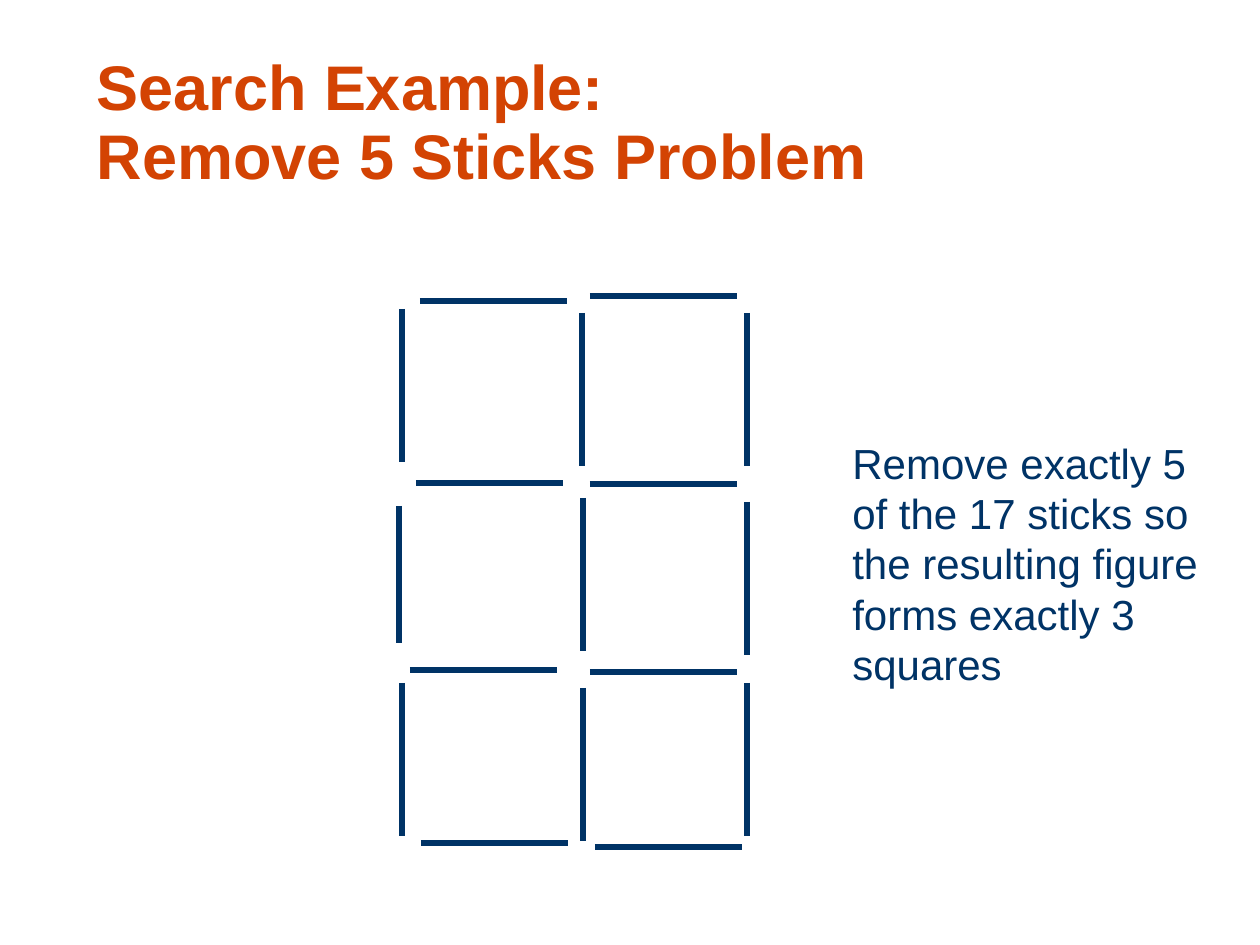
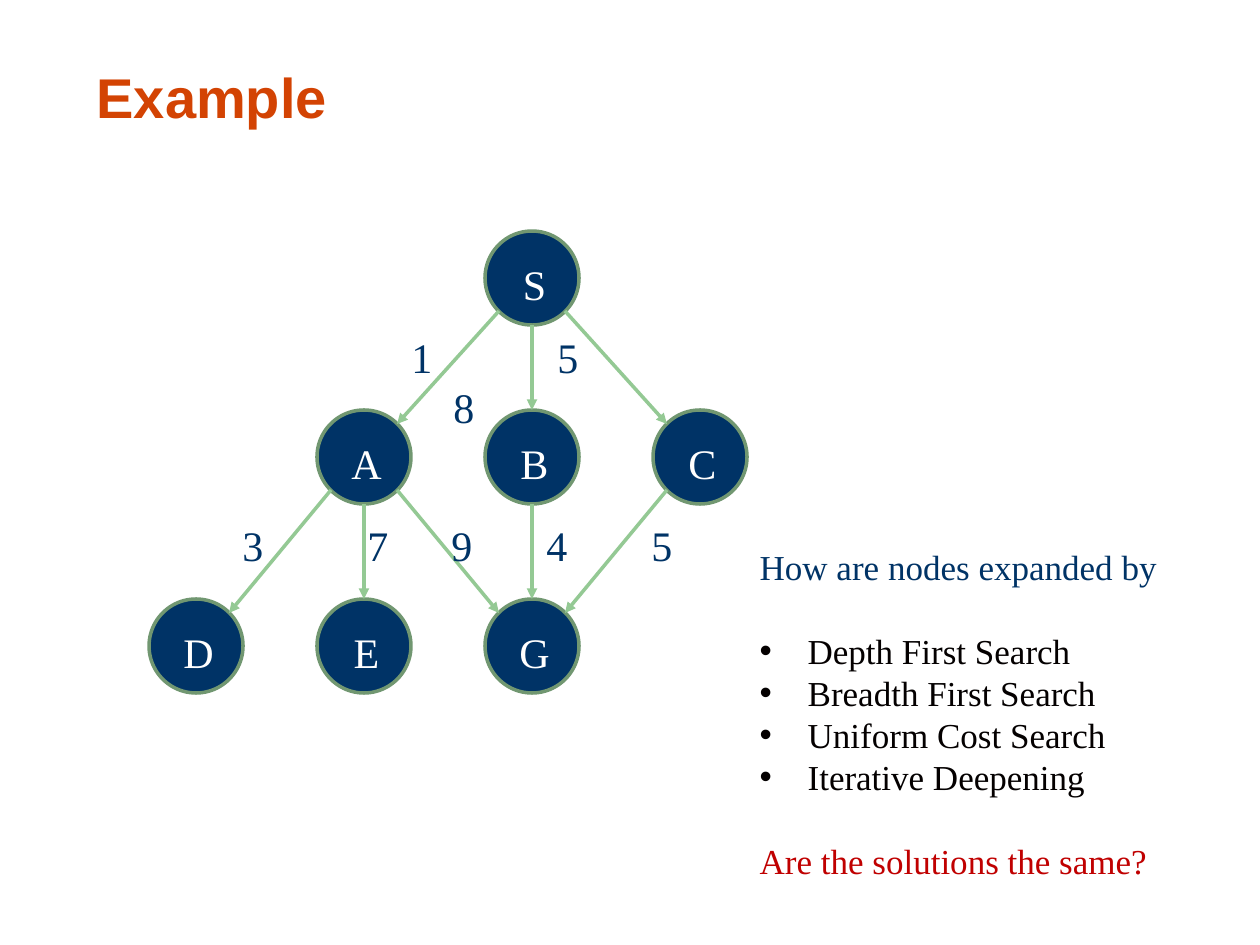
"""Build two search-example slides: the sticks puzzle and a weighted search graph."""
from lxml.etree import SubElement
from pptx import Presentation
from pptx.dml.color import RGBColor
from pptx.enum.shapes import MSO_CONNECTOR as CONN, MSO_SHAPE as SHAPE
from pptx.enum.text import MSO_ANCHOR as ANCHOR, MSO_AUTO_SIZE as AUTO, PP_ALIGN as ALIGN
from pptx.oxml.ns import qn
from pptx.util import Emu, Pt

PX = 914400 / 126
SANS, SERIF = "Arial", "Times New Roman"
COLORS = {
    "title": "D34303", "navy": "003366", "ring": "719771", "edge": "94C994",
    "white": "FFFFFF", "black": "040000", "red": "C00000",
}
RADIUS, DIAGONAL = 47, 33
HORIZONTAL_STICKS = [
    (420, 301), (590, 296), (416, 483), (590, 484),
    (410, 670), (590, 672), (421, 843), (595, 847),
]
VERTICAL_STICKS = [
    (402, 309, 153), (582, 313, 153), (747, 313, 153),
    (399, 506, 137), (583, 498, 153), (747, 502, 153),
    (402, 683, 153), (583, 688, 153), (747, 683, 153),
]
NODES = {
    "S": (532, 278), "A": (364, 457), "B": (532, 457), "C": (700, 457),
    "D": (196, 646), "E": (364, 646), "G": (532, 646),
}
EDGES = ["SA", "SB", "SC", "AD", "AE", "AG", "BG", "CG"]
COSTS = [
    ("1", 422, 332), ("5", 568, 332), ("8", 464, 382), ("3", 253, 520),
    ("7", 378, 520), ("9", 462, 520), ("4", 557, 520), ("5", 662, 520),
]
SEARCHES = ["Depth First Search", "Breadth First Search",
            "Uniform Cost Search", "Iterative Deepening"]


def px(*values):
    """Turn px lengths into a list of EMU lengths."""
    return [Emu(round(v * PX)) for v in values]


def rgb(name):
    """Look up a named colour."""
    return RGBColor.from_string(COLORS[name])


def write(p, text, size=24, font=SERIF, color="navy", bold=False,
          align=ALIGN.LEFT, spacing=None, before=0):
    """Put formatted text in a paragraph."""
    p.text = text
    p.alignment = align
    p.line_spacing = spacing
    p.space_before = Pt(before)
    for r in p.runs:
        r.font.size, r.font.name, r.font.bold = Pt(size), font, bold
        r.font.color.rgb = rgb(color)


def place(sp, *box):
    """Move and size a shape in px."""
    sp.left, sp.top, sp.width, sp.height = px(*box)


def add_slide(prs, layout, title, height, size):
    """Add a slide with its styled title."""
    s = prs.slides.add_slide(prs.slide_layouts[layout])
    sp = s.shapes.title
    place(sp, 84, 42, 1113, height)
    tf = sp.text_frame
    tf.auto_size, tf.vertical_anchor = AUTO.NONE, ANCHOR.BOTTOM
    write(tf.paragraphs[0], title, size=size, font=SANS, color="title",
          bold=True, spacing=0.9)
    return s


def add_line(s, x1, y1, x2, y2, color, width, arrow=False):
    """Draw a straight line, with an arrowhead at its end if asked."""
    c = s.shapes.add_connector(CONN.STRAIGHT, *px(x1, y1, x2, y2))
    c.line.color.rgb, c.line.width = rgb(color), Pt(width)
    props = c._element.spPr
    if arrow:
        SubElement(props.find(qn("a:ln")), qn("a:tailEnd"), type="triangle")
    SubElement(props, qn("a:effectLst"))
    return c


def add_text(s, text, box, inset=True, **fmt):
    """Add a wrapping text box."""
    tf = s.shapes.add_textbox(*px(*box)).text_frame
    tf.word_wrap = True
    if not inset:
        tf.margin_left = tf.margin_right = tf.margin_top = tf.margin_bottom = 0
    write(tf.paragraphs[0], text, **fmt)


def add_node(s, name, x, y):
    """Draw a graph node centred on a point."""
    sp = s.shapes.add_shape(SHAPE.OVAL, *px(x - RADIUS, y - RADIUS, 2 * RADIUS, 2 * RADIUS))
    sp.shadow.inherit = False
    sp.fill.solid()
    sp.fill.fore_color.rgb = rgb("navy")
    sp.line.color.rgb, sp.line.width = rgb("ring"), Pt(2)
    tf = sp.text_frame
    tf.vertical_anchor = ANCHOR.TOP
    tf.margin_left, tf.margin_top, tf.margin_right, tf.margin_bottom = px(5, 14, 0, 0)
    write(tf.paragraphs[0], name, color="white", align=ALIGN.CENTER)
    return sp


def add_edge(s, start, end, end_node):
    """Draw an arrow down from one node's rim to another's."""
    (x1, y1), (x2, y2) = start, end
    side = (x2 > x1) - (x2 < x1)
    dx, dy = side * DIAGONAL, DIAGONAL if side else RADIUS
    c = add_line(s, x1 + dx, y1 + dy, x2 - dx, y2 - dy, "edge", 2, arrow=True)
    if not side:
        c.end_connect(end_node, 0)


def set_bullet(p, char=None):
    """Give a paragraph a hanging bullet, or none."""
    props = p._p.get_or_add_pPr()
    indent = px(48)[0] if char else 0
    props.set("marL", str(indent))
    props.set("indent", str(-indent))
    if char:
        SubElement(props, qn("a:buFont"), typeface=SANS)
        SubElement(props, qn("a:buChar"), char=char)
    else:
        SubElement(props, qn("a:buNone"))


def fill_questions(sp):
    """Write the questions and the list of searches in the body."""
    place(sp, 747, 539, 481, 352)
    tf = sp.text_frame
    tf.auto_size, tf.vertical_anchor = AUTO.NONE, ANCHOR.TOP
    rows = [("How are nodes expanded by", "navy", 0, None)]
    rows += [(name, "black", 0 if i else 24, "•") for i, name in enumerate(SEARCHES)]
    rows.append(("Are the solutions the same?", "red", 24, None))
    for i, (text, color, before, char) in enumerate(rows):
        p = tf.add_paragraph() if i else tf.paragraphs[0]
        write(p, text, size=20, color=color, before=before)
        set_bullet(p, char)


def build_sticks(prs):
    """Build the sticks puzzle slide."""
    s = add_slide(prs, 5, "Search Example:\vRemove 5 Sticks Problem", 157, 36)
    for x, y in HORIZONTAL_STICKS:
        add_line(s, x, y, x + 147, y, "navy", 3.5)
    for x, y, length in VERTICAL_STICKS:
        add_line(s, x, y, x, y + length, "navy", 3.5)
    add_text(s, "Remove exactly 5 of the 17 sticks so the resulting figure forms exactly 3 squares",
             (840, 431, 378, 267), font=SANS)


def build_graph(prs):
    """Build the search graph slide."""
    s = add_slide(prs, 1, "Example", 95, 32)
    nodes = {name: add_node(s, name, *at) for name, at in NODES.items()}
    for a, b in EDGES:
        add_edge(s, NODES[a], NODES[b], nodes[b])
    for cost, x, top in COSTS:
        add_text(s, cost, (x - 20, top, 40, 50), inset=False, align=ALIGN.CENTER)
    fill_questions(s.placeholders[1])


def main():
    """Build and save the presentation."""
    prs = Presentation()
    prs.slide_width, prs.slide_height = px(1260, 945)
    build_sticks(prs)
    build_graph(prs)
    prs.save("out.pptx")


if __name__ == "__main__":
    main()
